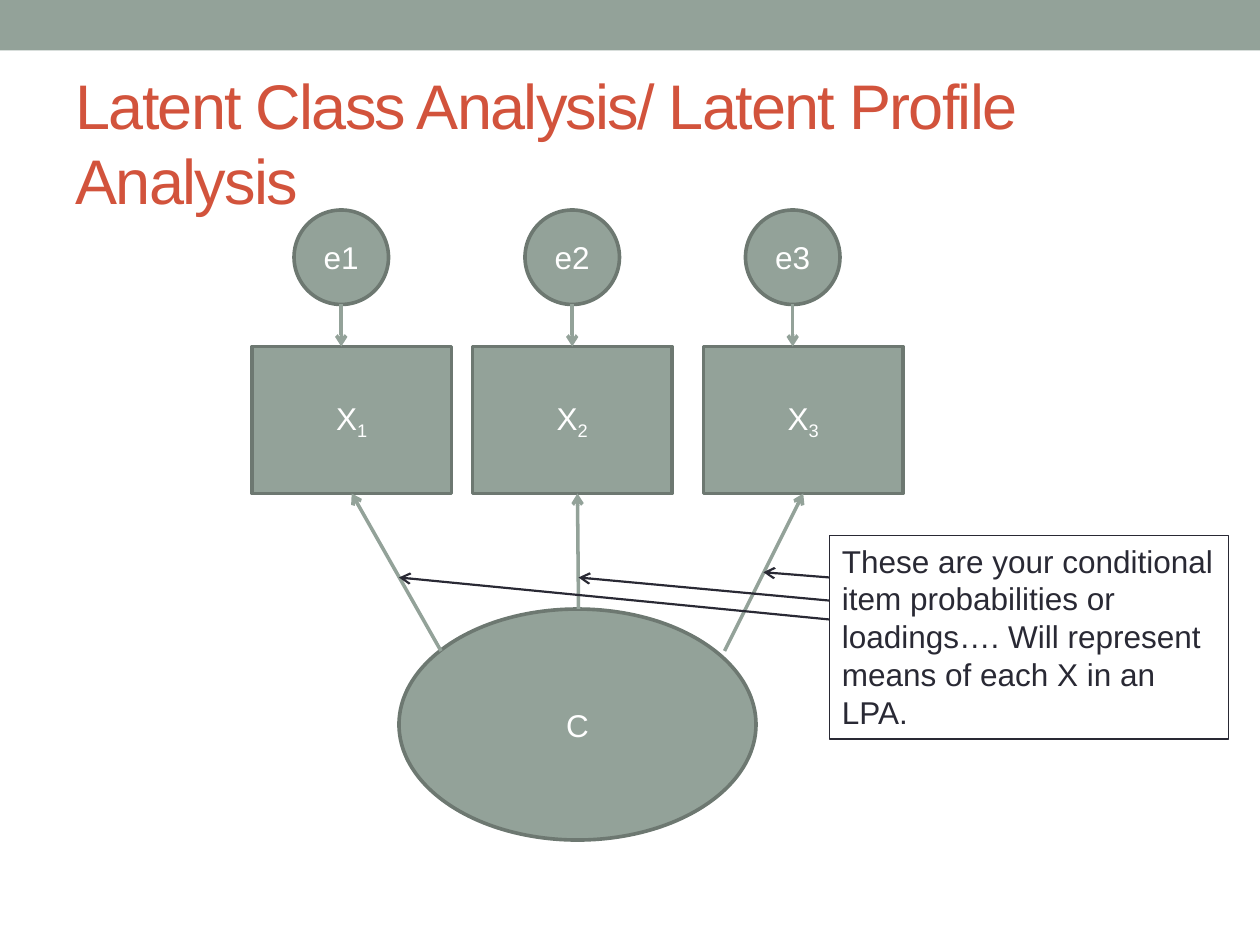
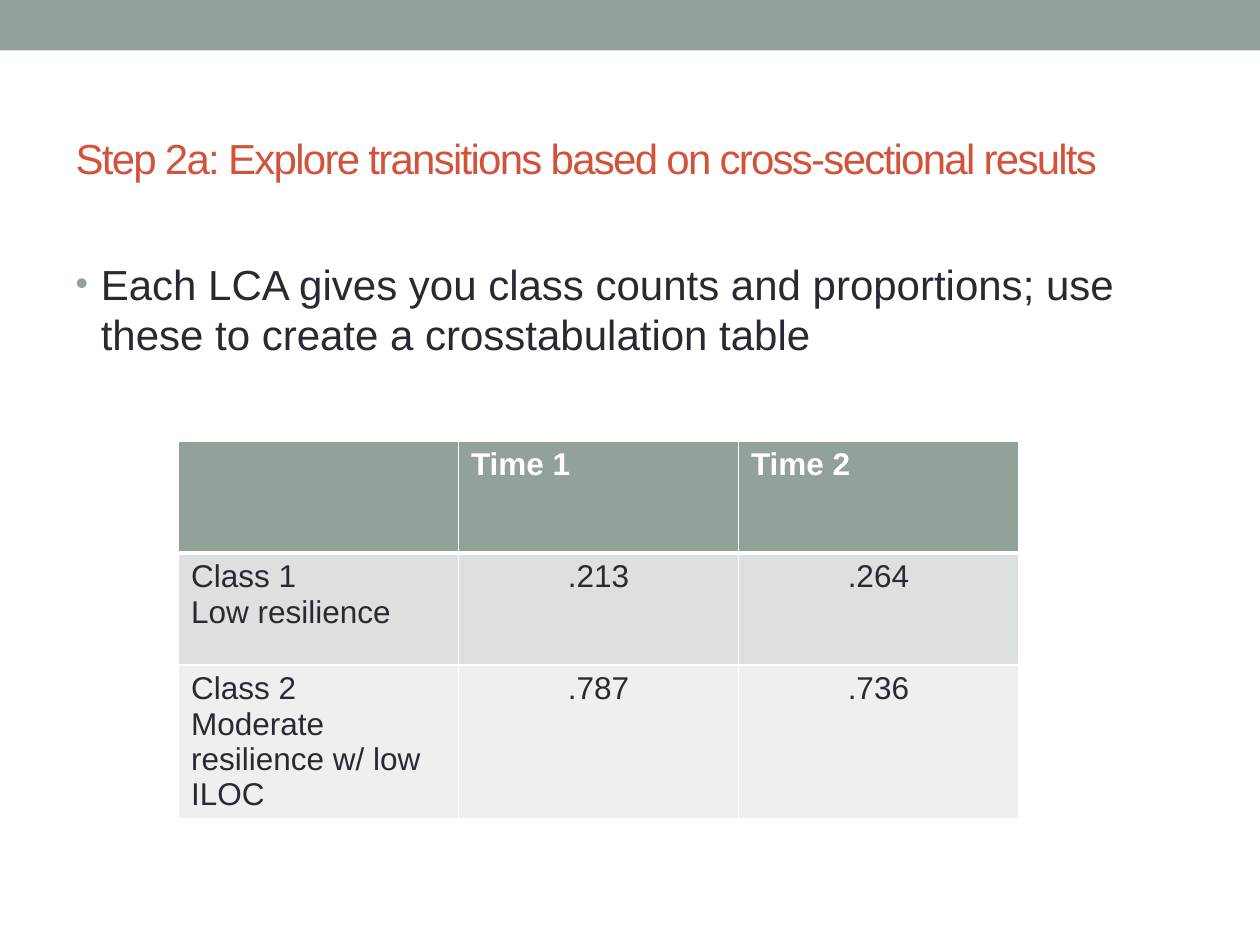
import lxml.etree
import pptx
import pptx.dml.color
import pptx.enum.shapes
import pptx.enum.text
import pptx.oxml.ns
import pptx.util

HUES = {
    "sage": "93A299", "edge": "6D7871", "rust": "D2533C", "ink": "292934",
    "white": "FFFFFF", "odd": "DCE0DE", "even": "EEF0EF",
}
FONT = "Arial"
COLS, ROWS = 120, 90  # grid of the whole slide
KINDS = pptx.enum.shapes.MSO_SHAPE
ALIGN = pptx.enum.text.PP_ALIGN
FIT = pptx.enum.text.MSO_AUTO_SIZE
MID = pptx.enum.text.MSO_ANCHOR.MIDDLE


def rgb(name):
    return pptx.dml.color.RGBColor.from_string(HUES[name])


def node(root, tag, **attrs):
    item = lxml.etree.SubElement(root, pptx.oxml.ns.qn("a:" + tag))
    for key, val in attrs.items():
        item.set(key, str(val))
    return item


def write(frame, words, size=18, hue="ink", bold=False, align=ALIGN.LEFT, track=None):
    """Fill a frame, a paragraph a line; an underscore starts a subscript."""
    for i, line in enumerate(words.split("\n")):
        para = frame.paragraphs[0] if i == 0 else frame.add_paragraph()
        para.alignment = align
        base, _, sub = line.partition("_")
        for part, drop in ((base, None), (sub, -25000)):
            if not part:
                continue
            run = para.add_run()
            run.text = part
            font = run.font
            font.name, font.size, font.bold = FONT, pptx.util.Pt(size), bold
            font.color.rgb = rgb(hue)
            for key, val in (("baseline", drop), ("spc", track)):
                if val is not None:
                    font._element.set(key, str(val))


class Deck:
    def __init__(self):
        self.file = pptx.Presentation()
        self.file.slide_width = pptx.util.Inches(10)
        self.file.slide_height = pptx.util.Inches(7.5)
        self.slide = None

    def x(self, cols):
        return round(self.file.slide_width * cols / COLS)

    def y(self, rows):
        return round(self.file.slide_height * rows / ROWS)

    def box(self, left, top, wide, high):
        return self.x(left), self.y(top), self.x(wide), self.y(high)

    def place(self, holder, *spot):
        holder.left, holder.top, holder.width, holder.height = self.box(*spot)
        holder.text_frame.auto_size = FIT.NONE
        return holder.text_frame

    def page(self, layout, title, size, high):
        """Start a slide with the top band and a title."""
        self.slide = self.file.slides.add_slide(self.file.slide_layouts[layout])
        self.shape(KINDS.RECTANGLE, "", 0, 0, COLS, 4.8, edge=None)
        frame = self.place(self.slide.shapes.title, 6, 7, 108, high)
        frame.vertical_anchor = MID
        write(frame, title, size=size, hue="rust", track=-100)

    def shape(self, kind, words, *spot, edge="edge"):
        item = self.slide.shapes.add_shape(kind, *self.box(*spot))
        item.shadow.inherit = False
        item.fill.solid()
        item.fill.fore_color.rgb = rgb("sage")
        if edge:
            item.line.color.rgb = rgb(edge)
            item.line.width = pptx.util.Pt(2.08)
        else:
            item.line.fill.background()
        if words:
            item.text_frame.vertical_anchor = MID
            write(item.text_frame, words, hue="white", align=ALIGN.CENTER)

    def arrow(self, start, end, hue="sage", width=2):
        item = self.slide.shapes.add_connector(
            pptx.enum.shapes.MSO_CONNECTOR.STRAIGHT,
            self.x(start[0]), self.y(start[1]), self.x(end[0]), self.y(end[1]))
        item.line.color.rgb = rgb(hue)
        item.line.width = pptx.util.Pt(width)
        node(item.line._get_or_add_ln(), "tailEnd", type="arrow")
        node(item.element.spPr, "effectLst")

    def note(self, words, *spot):
        item = self.slide.shapes.add_textbox(*self.box(*spot))
        item.line.color.rgb = rgb("ink")
        item.line.width = pptx.util.Pt(0.75)
        item.text_frame.word_wrap = True
        item.text_frame.auto_size = FIT.SHAPE_TO_FIT_TEXT
        write(item.text_frame, words)

    def bullets(self, words, *spot):
        frame = self.place(self.slide.placeholders[1], *spot)
        write(frame, words, size=24)
        for para in frame.paragraphs:
            para.space_before = pptx.util.Pt(4.8)
            props = para._p.get_or_add_pPr()
            dent = pptx.util.Inches(0.2)
            props.set("marL", str(dent))
            props.set("indent", str(-dent))
            node(node(props, "buClr"), "srgbClr", val=HUES["sage"])
            node(props, "buSzPct", val=85000)
            node(props, "buFont", typeface=FONT)
            node(props, "buChar", char="•")

    def table(self, data, *spot):
        grid = self.slide.shapes.add_table(len(data), len(data[0]), *self.box(*spot)).table
        for r, row in enumerate(data):
            head = r == 0
            for c, words in enumerate(row):
                cell = grid.cell(r, c)
                # Borders come before the fill in the cell's XML
                props = cell._tc.get_or_add_tcPr()
                for side in "LRTB":
                    thick = 3 if (head and side == "B") or (r == 1 and side == "T") else 1
                    line = node(props, "ln" + side, w=pptx.util.Pt(thick))
                    node(node(line, "solidFill"), "srgbClr", val=HUES["white"])
                cell.fill.solid()
                cell.fill.fore_color.rgb = rgb("sage" if head else "odd" if r % 2 else "even")
                write(cell.text_frame, words, hue="white" if head else "ink", bold=head,
                      align=ALIGN.LEFT if head or c == 0 else ALIGN.CENTER)


deck = Deck()

# Slide 1: latent class model
deck.page(5, "Latent Class Analysis/ Latent Profile Analysis", 36, 13)
deck.shape(KINDS.OVAL, "C", 38, 58, 34, 22)

# Each item: left of its box, left of its error, loading's start and end column
items = [(24, 28, (42, 62), 33.5), (45, 50, (55.1, 58), 55), (67, 71, (69, 62), 76.5)]
for num, (left, err, start, end) in enumerate(items, 1):
    deck.shape(KINDS.RECTANGLE, f"X_{num}", left, 33, 19, 14)
    deck.shape(KINDS.OVAL, f"e{num}", err, 20, 9, 9)
    deck.arrow((err + 4.5, 29), (err + 4.5, 33))
    deck.arrow(start, (end, 47))

# Note with a pointer to each loading
deck.note("These are your conditional item probabilities or loadings…. "
          "Will represent means of each X in an LPA.", 79, 51, 38, 19.4)
for row, end in ((59, (38, 55)), (57.2, (55.1, 55)), (55, (72.7, 54.5))):
    deck.arrow((79, row), end, hue="ink", width=1.25)

# Slide 2: class proportions
deck.page(1, "Step 2a: Explore transitions based on cross-sectional results", 24, 16)
deck.bullets("Each LCA gives you class counts and proportions; "
             "use these to create a crosstabulation table", 6, 24, 108, 61)
deck.table([
    ("", "Time 1", "Time 2"),
    ("Class 1\nLow resilience", ".213", ".264"),
    ("Class 2\nModerate resilience w/ low ILOC", ".787", ".736"),
], 17, 42, 80, 32)

deck.file.save("out.pptx")
